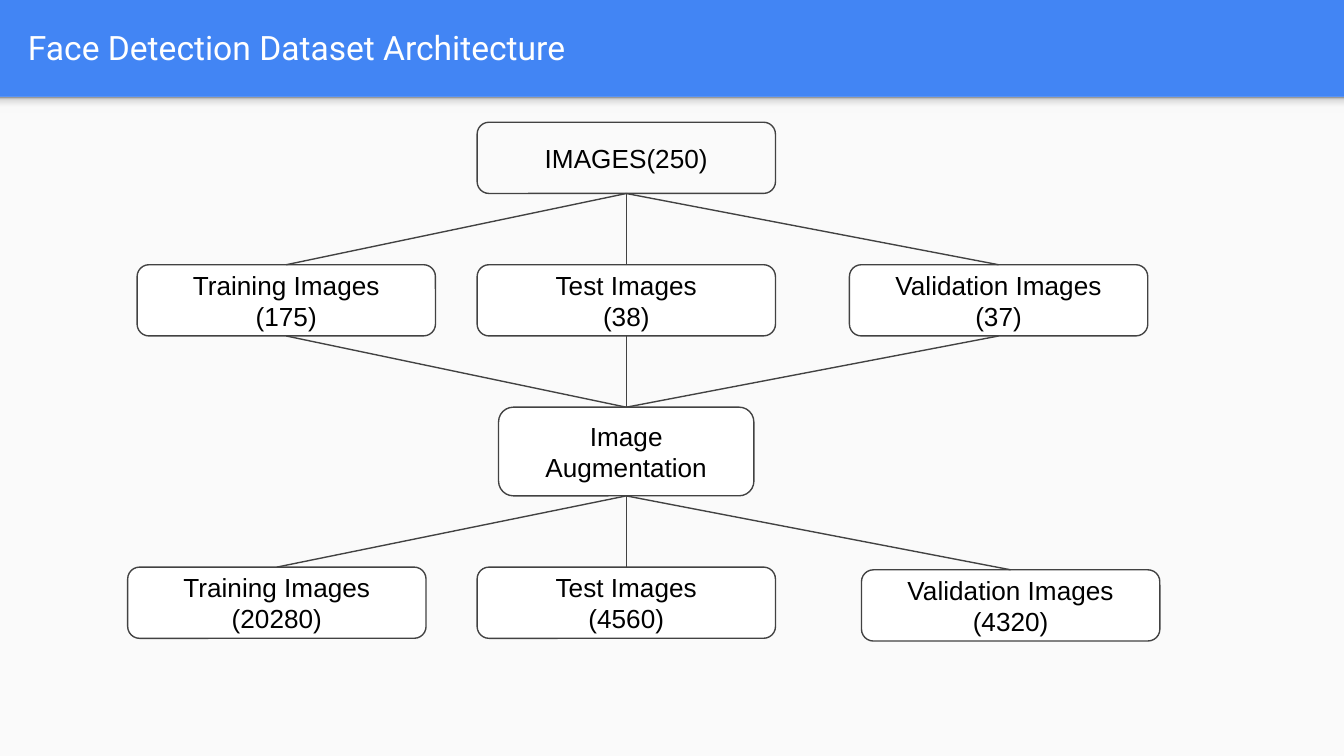
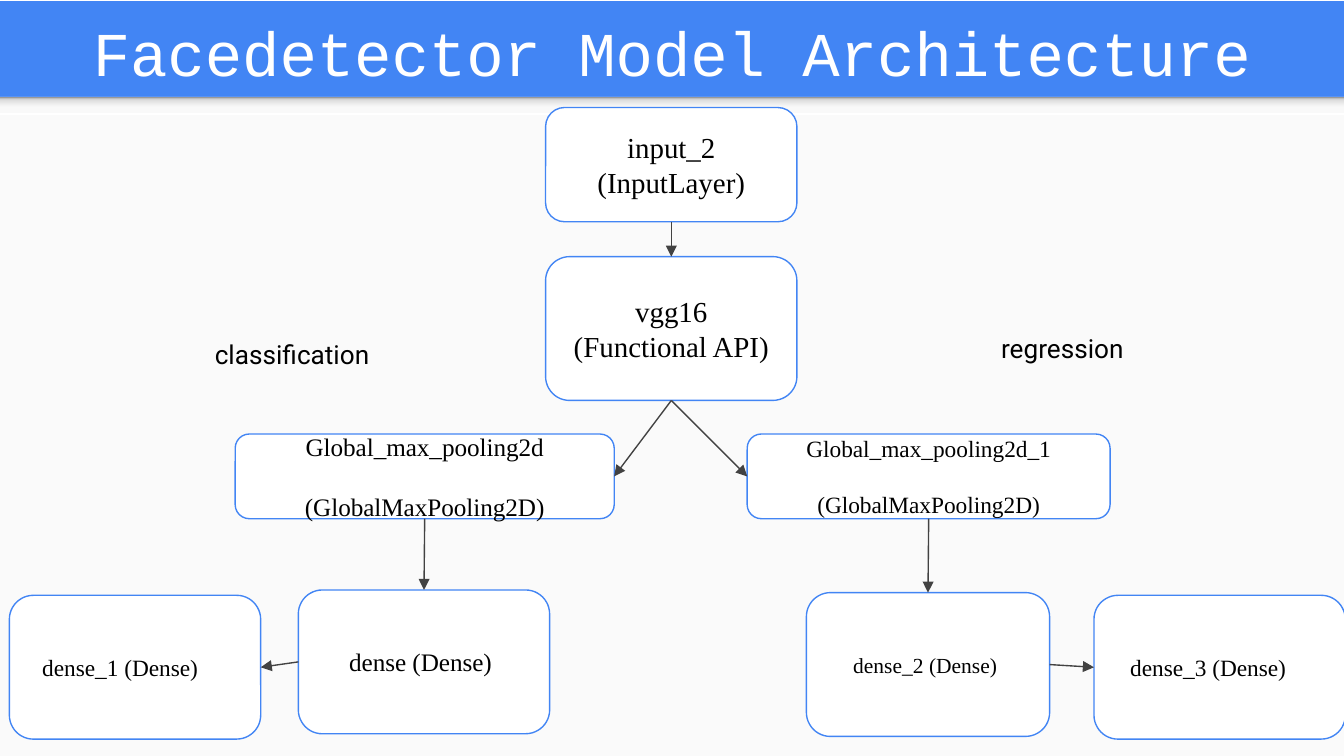
from dataclasses import dataclass

from lxml import etree
from pptx import Presentation
from pptx.enum.dml import MSO_LINE
from pptx.enum.shapes import MSO_CONNECTOR, MSO_SHAPE
from pptx.enum.text import MSO_ANCHOR, MSO_AUTO_SIZE, PP_ALIGN
from pptx.dml.color import RGBColor
from pptx.oxml.ns import qn
from pptx.presentation import Presentation as Deck
from pptx.shapes.autoshape import Shape
from pptx.slide import Slide
from pptx.util import Inches, Pt

RECT, ROUND = MSO_SHAPE.RECTANGLE, MSO_SHAPE.ROUNDED_RECTANGLE
STRAIGHT, SOLID = MSO_CONNECTOR.STRAIGHT, MSO_LINE.SOLID
LEFT, CENTER = PP_ALIGN.LEFT, PP_ALIGN.CENTER
TOP, MIDDLE = MSO_ANCHOR.TOP, MSO_ANCHOR.MIDDLE
GROW = MSO_AUTO_SIZE.SHAPE_TO_FIT_TEXT
# Connection sites of a rectangle
UP, WEST, DOWN, EAST = range(4)

WIDE, BAND = 10, 0.72
HIGH = WIDE * 9 / 16
COLORS = {
    "blue": "4285F4",
    "page": "FAFAFA",
    "white": "FFFFFF",
    "black": "000000",
    "grey": "424242",
}
SHADE = ((0, "F9F9F9"), (36, "F9F9F9"), (80, "DEDEDE"), (100, "999999"))
SANS, TITLE, MONO, SERIF = "Arial", "Roboto", "Courier New", "Times New Roman"


@dataclass(frozen=True)
class Node:
    """A rounded box; pad widens the right inset, gap parts its lines."""
    x: float
    y: float
    w: float
    h: float
    lines: tuple[str, ...]
    size: float = 14
    pad: float = 0
    gap: float = 0
    fill: str = "white"


@dataclass(frozen=True)
class Link:
    start: str
    out: int
    end: str
    into: int


def paint(name: str) -> RGBColor:
    return RGBColor.from_string(COLORS[name])


def write(shape: Shape, *lines: str, size: float, font: str, color: str = "black",
          align: PP_ALIGN = CENTER, anchor: MSO_ANCHOR = MIDDLE,
          gap: float = 0, top: float = 0.1, right: float = 0.1) -> None:
    frame = shape.text_frame
    frame.word_wrap = True
    frame.vertical_anchor = anchor
    frame.margin_left = frame.margin_bottom = Inches(0.1)
    frame.margin_top, frame.margin_right = Inches(top), Inches(right)
    for i, line in enumerate(lines):
        para = frame.add_paragraph() if i else frame.paragraphs[0]
        para.alignment = align
        if i and gap:
            para.space_before = Pt(gap)
        run = para.add_run()
        run.text = line
        run.font.size, run.font.name = Pt(size), font
        run.font.color.rgb = paint(color)


def add_text(slide: Slide, x: float, y: float, w: float, h: float) -> Shape:
    return slide.shapes.add_textbox(Inches(x), Inches(y), Inches(w), Inches(h))


def add_box(slide: Slide, kind: MSO_SHAPE, x: float, y: float, w: float, h: float,
            fill: str, line: str = "") -> Shape:
    box = slide.shapes.add_shape(kind, Inches(x), Inches(y), Inches(w), Inches(h))
    box.shadow.inherit = False
    box.fill.solid()
    box.fill.fore_color.rgb = paint(fill)
    if line:
        box.line.color.rgb = paint(line)
        box.line.width = Pt(0.75)
    else:
        box.line.fill.background()
    return box


def add_shade(slide: Slide) -> None:
    """Draw the soft shadow under the title band."""
    strip = add_box(slide, RECT, 0, BAND, WIDE, 0.12, "page")
    strip.fill.gradient()
    strip.fill.gradient_angle = 90
    stops = strip.element.spPr.find(qn("a:gradFill")).find(qn("a:gsLst"))
    for stop in list(stops):
        stops.remove(stop)
    for place, tone in SHADE:
        stop = etree.SubElement(stops, qn("a:gs"), pos=str(place * 1000))
        etree.SubElement(stop, qn("a:srgbClr"), val=tone)


def add_page(deck: Deck) -> Slide:
    slide = deck.slides.add_slide(deck.slide_layouts[6])
    slide.background.fill.solid()
    slide.background.fill.fore_color.rgb = paint("blue")
    add_box(slide, RECT, 0, BAND, WIDE, HIGH - BAND, "page")
    add_shade(slide)
    return slide


def add_link(slide: Slide, start: Shape, out: int, end: Shape, into: int,
             arrow: bool) -> None:
    link = slide.shapes.add_connector(STRAIGHT, 0, 0, 0, 0)
    link.begin_connect(start, out)
    link.end_connect(end, into)
    link.line.color.rgb = paint("grey")
    link.line.width = Pt(0.75)
    props = link._element.spPr
    if arrow:
        etree.SubElement(props.find(qn("a:ln")), qn("a:tailEnd"), type="triangle")
    etree.SubElement(props, qn("a:effectLst"))


def draw_graph(slide: Slide, nodes: dict[str, Node], links: list[Link],
               font: str, line: str, arrow: bool) -> None:
    boxes = {}
    for key, node in nodes.items():
        box = add_box(slide, ROUND, node.x, node.y, node.w, node.h, node.fill, line)
        write(box, *node.lines, size=node.size, font=font, gap=node.gap,
              right=0.1 + node.pad)
        boxes[key] = box
    for link in links:
        add_link(slide, boxes[link.start], link.out, boxes[link.end], link.into, arrow)


def build_data(deck: Deck) -> None:
    slide = add_page(deck)
    write(add_text(slide, 0.11, 0.02, 9.65, 0.66), "Face Detection Dataset Architecture",
          size=18, font=TITLE, color="white", align=LEFT)
    wide, high, mid = 2.22, 0.53, 3.55
    nodes = {
        "all": Node(mid, 0.91, wide, high, ("IMAGES(250)",), fill="page"),
        "augment": Node(3.71, 3.03, 1.9, 0.66, ("Image Augmentation",)),
    }
    links = []
    splits = (
        ("Training", (1.02, 1.97, 175), (0.95, 4.22, 20280)),
        ("Test", (mid, 1.97, 38), (mid, 4.22, 4560)),
        ("Validation", (6.32, 1.97, 37), (6.41, 4.24, 4320)),
    )
    for name, *stages in splits:
        raw, more = f"{name} raw", f"{name} more"
        for key, (x, y, count) in zip((raw, more), stages):
            nodes[key] = Node(x, y, wide, high, (f"{name} Images", f"({count})"))
        for start, end in (("all", raw), (raw, "augment"), ("augment", more)):
            links.append(Link(start, DOWN, end, UP))
    draw_graph(slide, nodes, links, SANS, "grey", False)


def build_model(deck: Deck) -> None:
    slide = add_page(deck)
    title = add_text(slide, -0.06, 0, 10.12, 0.85)
    title.line.color.rgb = paint("white")
    title.line.width = Pt(0.75)
    title.line.dash_style = SOLID
    write(title, "Facedetector Model Architecture", size=33.4, font=MONO,
          color="white", top=0.02)
    wide, high = 1.87, 1.07
    pool = "(GlobalMaxPooling2D)"
    nodes = {
        "input": Node(4.06, 0.8, wide, 0.85, ("input_2 (InputLayer)",), 15.5),
        "vgg": Node(4.06, 1.91, wide, high, ("vgg16 (Functional API)",), 15.5),
        "pool": Node(1.75, 3.23, 2.82, 0.63, ("Global_max_pooling2d", pool), 13.5, gap=16),
        "pool_1": Node(5.56, 3.23, 2.7, 0.63, ("Global_max_pooling2d_1", pool), 12.5, gap=15),
        "dense": Node(2.22, 4.39, wide, high, ("dense (Dense)",), 13.5, 0.05),
        "dense_1": Node(0.07, 4.43, wide, high, ("dense_1 (Dense)",), 12.5, 0.22),
        "dense_2": Node(6, 4.41, 1.81, high, ("dense_2 (Dense)",), 11.5, 0.04),
        "dense_3": Node(8.14, 4.43, wide, high, ("dense_3 (Dense)",), 12.5, 0.17),
    }
    links = [
        Link("input", DOWN, "vgg", UP),
        Link("vgg", DOWN, "pool", EAST),
        Link("vgg", DOWN, "pool_1", WEST),
        Link("pool", DOWN, "dense", UP),
        Link("pool_1", DOWN, "dense_2", UP),
        Link("dense", WEST, "dense_1", EAST),
        Link("dense_2", EAST, "dense_3", WEST),
    ]
    draw_graph(slide, nodes, links, SERIF, "blue", True)
    for label, x, y, w in (("classification", 1.5, 2.42, 1.59),
                           ("regression", 7.35, 2.37, 1.41)):
        box = add_text(slide, x, y, w, 0.44)
        write(box, label, size=14, font=TITLE, align=LEFT, anchor=TOP)
        box.text_frame.auto_size = GROW


def main() -> None:
    deck = Presentation()
    deck.slide_width, deck.slide_height = Inches(WIDE), Inches(HIGH)
    build_data(deck)
    build_model(deck)
    deck.save("out.pptx")


if __name__ == "__main__":
    main()
